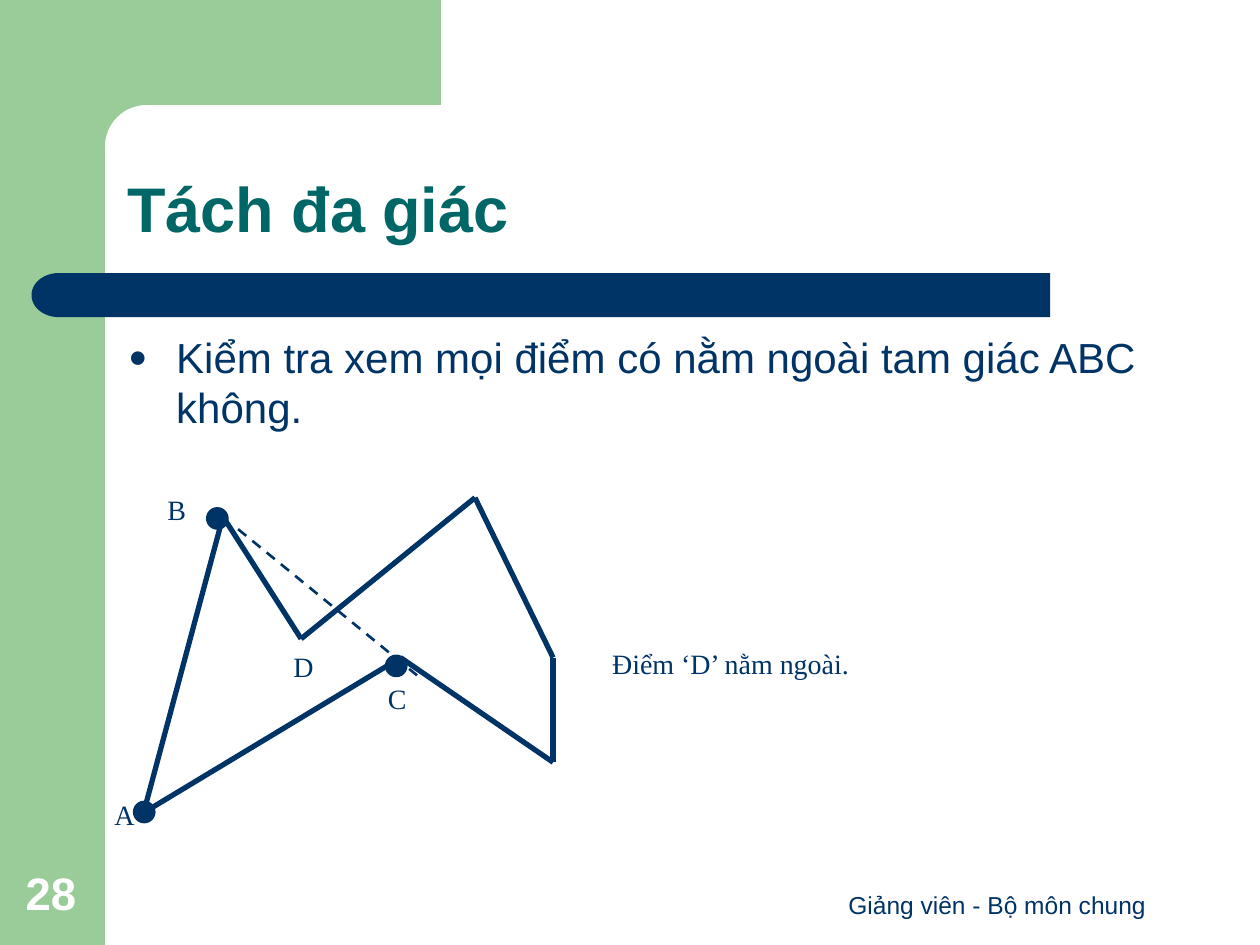
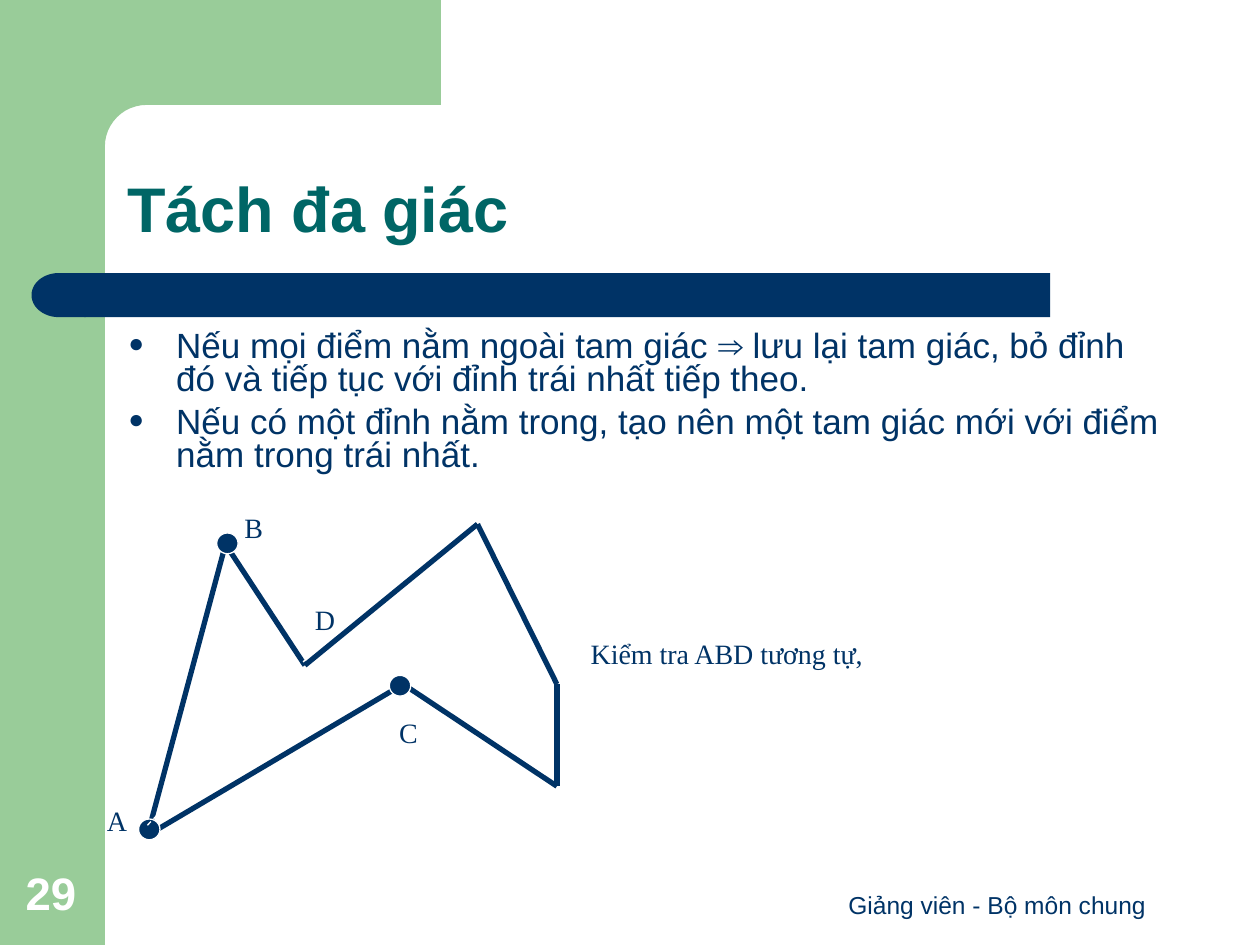
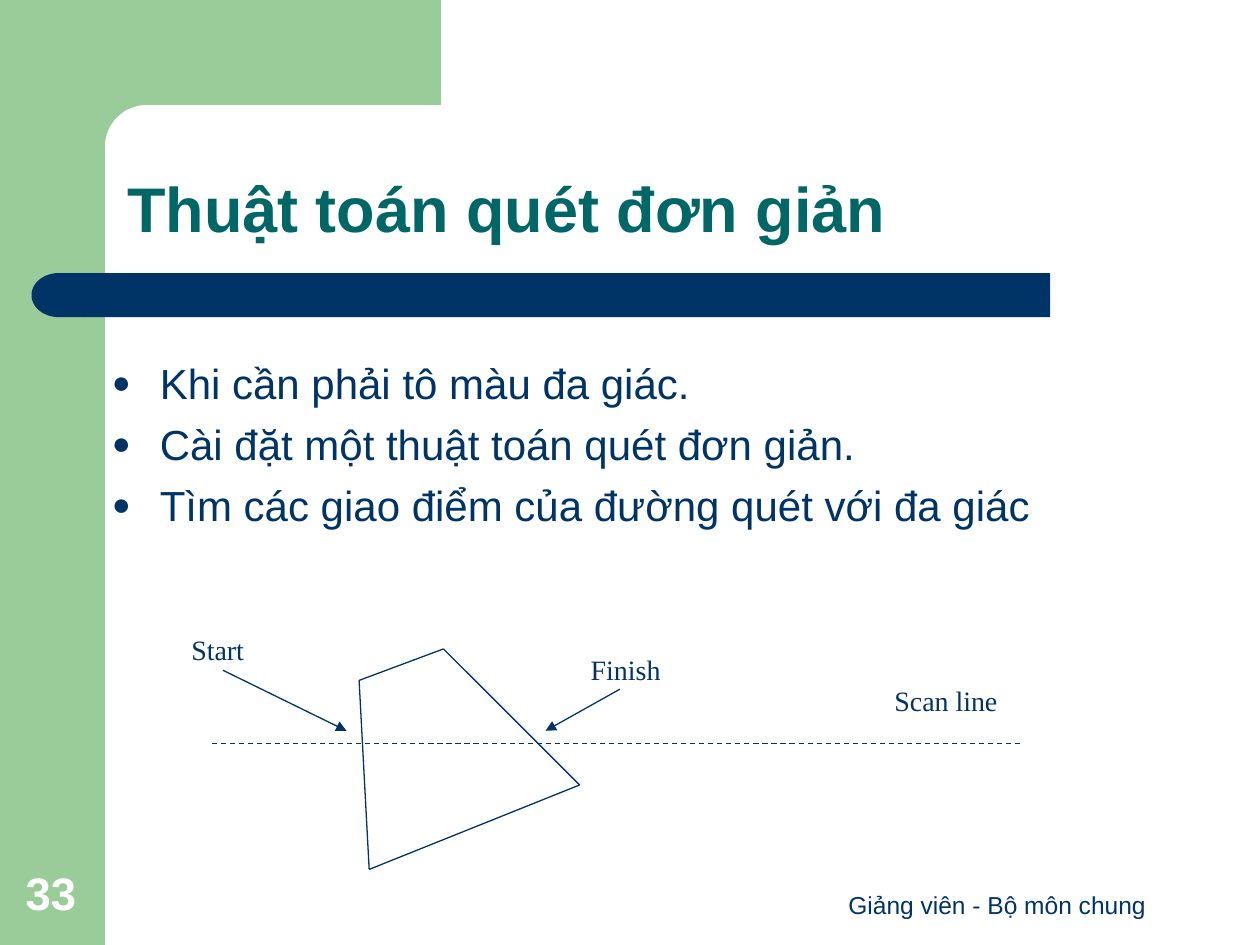
"""Build three slides on splitting polygons and scan lines."""
from dataclasses import dataclass
from math import cos, pi, sin

from lxml.etree import SubElement
from pptx import Presentation
from pptx.dml.color import RGBColor as RGB
from pptx.enum.dml import MSO_LINE
from pptx.enum.shapes import MSO_CONNECTOR as CONN, MSO_SHAPE as SHAPE
from pptx.enum.text import MSO_ANCHOR as ANCHOR, MSO_AUTO_SIZE as AUTO, PP_ALIGN as ALIGN
from pptx.oxml.ns import qn
from pptx.util import Inches, Pt

COLS, ROWS = 100, 75
CELL = Inches(0.1)


@dataclass(frozen=True)
class Theme:
    """Hold the colours, fonts and type sizes of the deck."""
    navy: str = "003366"
    teal: str = "006666"
    green: str = "99CC99"
    white: str = "FFFFFF"
    sans: str = "Arial"
    serif: str = "Times New Roman"
    head: int = 36
    page: int = 26
    label: int = 16
    foot: int = 14


T = Theme()
FOOT = "Giảng viên - Bộ môn chung"
SIDE, BAND = 8.33, 21.67

SLIDES = [
    dict(
        page="28",
        title="Tách đa giác",
        body=["Kiểm tra xem mọi điểm có nằm ngoài tam giác ABC không."],
        area=(9.2, 25.8, 84.1, 16.5),
        type=dict(size=24, gap=6),
        ring=[(11.4, 64.5), (17.7, 41), (23.9, 50.7), (37.7, 39.5),
              (43.9, 52.2), (43.9, 60.5), (31.8, 52.2)],
        width=3,
        dots=[(10.6, 63.6), (16.4, 40.3), (30.6, 52)],
        dot=dict(size=(1.7, 1.7), edge=T.navy),
        lines=[((18.9, 42), (33.1, 53.6), dict(width=1.5, dash=True))],
        labels=[("A", 8.1, 62.8, 3.6), ("B", 12.3, 38.6, 3.5),
                ("C", 29.8, 53.6, 3.5), ("D", 22.3, 51.1, 3.6),
                ("Điểm ‘D’ nằm ngoài.", 47.6, 50.8, 20.9)],
    ),
    dict(
        page="29",
        title="Tách đa giác",
        body=["Nếu mọi điểm nằm ngoài tam giác ⇒ lưu lại tam giác, bỏ đỉnh "
              "đó và tiếp tục với đỉnh trái nhất tiếp theo.",
              "Nếu có một đỉnh nằm trong, tạo nên một tam giác mới với điểm "
              "nằm trong trái nhất."],
        area=(9.2, 25.8, 84.1, 15.6),
        type=dict(size=20, gap=5, lead=0.8),
        ring=[(11.7, 66.3), (17.9, 43.2), (24.2, 52.8), (37.9, 41.6),
              (44.2, 54.3), (44.2, 62.4), (32, 54.3)],
        width=3,
        dots=[(11, 65), (17.2, 42.3), (30.9, 53.6)],
        dot=dict(size=(1.7, 1.65), edge=T.white),
        lines=[((11.7, 65.5), (24.2, 52.4), dict(color=T.white, dash=True))],
        labels=[("A", 7.5, 63.3, 3.6), ("B", 18.4, 40, 3.5),
                ("C", 30.7, 56.3, 3.5), ("D", 24, 47.3, 3.6),
                ("Kiểm tra ABD tương tự,", 45.9, 50, 23.7)],
    ),
    dict(
        page="33",
        title="Thuật toán quét đơn giản",
        body=["Khi cần phải tô màu đa giác.",
              "Cài đặt một thuật toán quét đơn giản.",
              "Tìm các giao điểm của đường quét với đa giác"],
        area=(7.9, 27.9, 85.4, 42.3),
        type=dict(size=24, gap=6),
        ring=[(28.5, 54), (29.3, 69), (46, 62.3), (35.2, 51.5)],
        width=0.75,
        dots=[],
        dot={},
        lines=[((16.8, 59), (81, 59), dict(dash=True)),
               ((49.2, 54.7), (43.3, 58), dict(arrow=True)),
               ((17.7, 53.2), (27.5, 58), dict(arrow=True))],
        labels=[("Finish", 45.9, 51.3, 8), ("Start", 14.2, 49.7, 6.4),
                ("Scan line", 70, 53.8, 10.4)],
    ),
]


def grid(*vals):
    """Turn grid cells into lengths."""
    return [round(v * CELL) for v in vals]


def mark(par):
    """Give a paragraph a round hanging bullet."""
    props = par._p.get_or_add_pPr()
    props.set("marL", str(Inches(0.38)))
    props.set("indent", str(-Inches(0.38)))
    SubElement(SubElement(props, qn("a:buClr")), qn("a:srgbClr"), val=T.navy)
    SubElement(props, qn("a:buSzPct"), val="75000")
    SubElement(props, qn("a:buFont"), typeface=T.sans)
    SubElement(props, qn("a:buChar"), char="●")


def write(box, *text, size, font=T.sans, color=T.navy, bold=False, align=ALIGN.LEFT,
          anchor=ANCHOR.TOP, lead=None, gap=0, bullet=False, wrap=True):
    """Fill a box with formatted paragraphs."""
    frame = box.text_frame
    frame.auto_size = AUTO.NONE if wrap else AUTO.SHAPE_TO_FIT_TEXT
    frame.word_wrap = wrap
    frame.vertical_anchor = anchor
    for i, line in enumerate(text):
        par = frame.add_paragraph() if i else frame.paragraphs[0]
        if bullet:
            mark(par)
        par.alignment = align
        par.space_before = Pt(gap if i else 0)
        if lead:
            par.line_spacing = lead
        run = par.add_run()
        run.text = line
        run.font.name, run.font.size, run.font.bold = font, Pt(size), bold
        run.font.color.rgb = RGB.from_string(color)


def paint(shape, fill, edge=None):
    """Set the fill and outline of a shape."""
    shape.shadow.inherit = False
    shape.fill.solid()
    shape.fill.fore_color.rgb = RGB.from_string(fill)
    if edge:
        shape.line.color.rgb = RGB.from_string(edge)
        shape.line.width = Pt(0.75)
    else:
        shape.line.fill.background()


def link(shapes, start, end, color=T.navy, width=0.75, dash=False, arrow=False):
    """Draw a straight line between two grid points."""
    line = shapes.add_connector(CONN.STRAIGHT, *grid(*start, *end))
    line.line.color.rgb = RGB.from_string(color)
    line.line.width = Pt(width)
    if dash:
        line.line.dash_style = MSO_LINE.DASH
    props = line.element.spPr
    if arrow:
        SubElement(props.find(qn("a:ln")), qn("a:tailEnd"), type="triangle")
    SubElement(props, qn("a:effectLst"))


def frame(shapes, master):
    """Draw the shared bands and move them to the master."""
    side = shapes.add_shape(SHAPE.RECTANGLE, *grid(0, 0, SIDE, ROWS))
    rad, steps = 3.3, 12
    mid = SIDE + rad
    turns = [pi / 2 * i / steps for i in range(steps + 1)]
    curve = [(mid - rad * sin(t), mid - rad * cos(t)) for t in turns]
    edge = [(35, 0), (35, SIDE), *curve, (SIDE, 12.8), (5, 12.8)]
    pen = shapes.build_freeform(*grid(5, 0))
    pen.add_line_segments([grid(*p) for p in edge], close=True)
    top = pen.convert_to_shape()
    bar = shapes.add_shape(SHAPE.RECTANGLE, *grid(6.7, BAND, 76.65, 3.5))
    cap = shapes.add_shape(SHAPE.FLOWCHART_DELAY, *grid(2.5, BAND, 4.3, 3.5))
    cap.rotation = 180
    parts = [(side, T.green), (top, T.green), (bar, T.navy), (cap, T.navy)]
    for i, (part, fill) in enumerate(parts):
        paint(part, fill)
        master.shapes.element.insert(2 + i, part.element)


def fill(slide, data):
    """Put the text and the figure on a slide."""
    shapes = slide.shapes
    title = shapes.title
    title.left, title.top, title.width, title.height = grid(9.1, 9.1, 85.1, 10.9)
    write(title, data["title"], size=T.head, color=T.teal, bold=True,
          anchor=ANCHOR.BOTTOM, lead=0.9)
    write(shapes.add_textbox(*grid(63.3, 68.3, 31.7, 5.2)), FOOT, size=T.foot,
          align=ALIGN.CENTER, anchor=ANCHOR.BOTTOM)
    write(shapes.add_textbox(*grid(1.05, 68.2, 6.4, 5.3)), data["page"], size=T.page,
          color=T.white, bold=True, anchor=ANCHOR.BOTTOM)
    write(shapes.add_textbox(*grid(*data["area"])), *data["body"], bullet=True,
          **data["type"])
    ring = data["ring"]
    for start, end in zip(ring, ring[1:] + ring[:1]):
        link(shapes, start, end, width=data["width"])
    for spot in data["dots"]:
        dot = shapes.add_shape(SHAPE.OVAL, *grid(*spot, *data["dot"]["size"]))
        paint(dot, T.navy, data["dot"]["edge"])
    for start, end, style in data["lines"]:
        link(shapes, start, end, **style)
    for text, left, top, width in data["labels"]:
        write(shapes.add_textbox(*grid(left, top, width, 3.7)), text,
              size=T.label, font=T.serif, wrap=False)


def main():
    """Make and save the deck."""
    deck = Presentation()
    deck.slide_width, deck.slide_height = grid(COLS, ROWS)
    for i, data in enumerate(SLIDES):
        slide = deck.slides.add_slide(deck.slide_layouts[5])
        if i == 0:
            frame(slide.shapes, deck.slide_master)
        fill(slide, data)
    deck.save("out.pptx")


if __name__ == "__main__":
    main()
